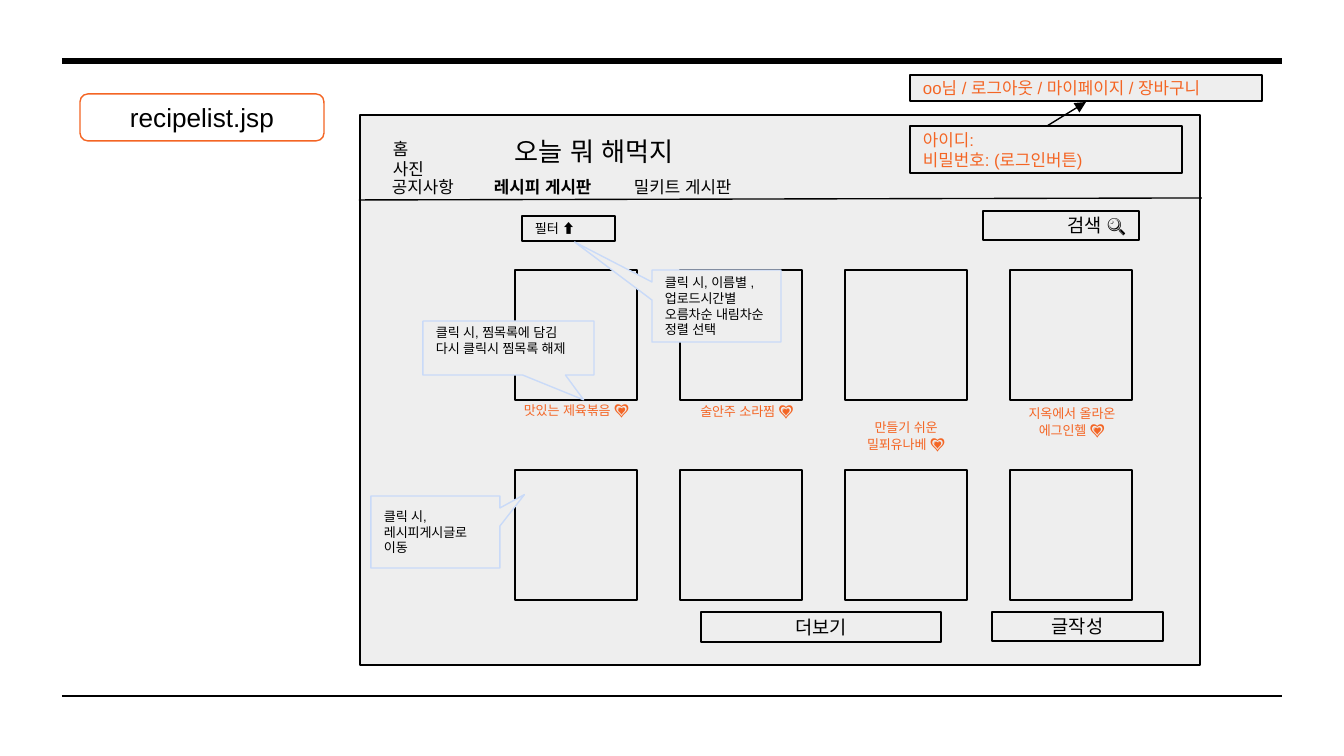
from dataclasses import dataclass
from itertools import product

from lxml import etree
from pptx import Presentation
from pptx.dml.color import RGBColor
from pptx.enum.shapes import MSO_CONNECTOR, MSO_SHAPE
from pptx.enum.text import MSO_ANCHOR, PP_ALIGN
from pptx.oxml.ns import qn
from pptx.util import Pt

EMU_PER_PIXEL = 914400 / 134.4
STRAIGHT = MSO_CONNECTOR.STRAIGHT
RECTANGLE = MSO_SHAPE.RECTANGLE
ROUNDED = MSO_SHAPE.ROUNDED_RECTANGLE
CALLOUT = MSO_SHAPE.RECTANGULAR_CALLOUT
TOP, MIDDLE = MSO_ANCHOR.TOP, MSO_ANCHOR.MIDDLE
LEFT, CENTER, RIGHT = PP_ALIGN.LEFT, PP_ALIGN.CENTER, PP_ALIGN.RIGHT
FONT = "Arial"
INSET = 13
COLORS = {"black": "000000", "orange": "F46524", "panel": "EEEEEE", "note": "C9DAF8"}


@dataclass
class Box:
    left: int
    top: int
    width: int
    height: int
    text: str = ""
    size: int = 9
    align: PP_ALIGN = LEFT
    color: str = "black"
    fill: str | None = "panel"
    line: str | None = "black"
    kind: MSO_SHAPE = RECTANGLE
    adjustments: tuple[float, ...] = ()
    anchor: MSO_ANCHOR = MIDDLE
    bold: bool = False
    heart: bool = False
    bottom_inset: int = INSET


@dataclass
class Rule:
    start: tuple[int, int]
    end: tuple[int, int]
    weight: float = 0.75
    arrow: bool = False


def px(value: float) -> int:
    return round(value * EMU_PER_PIXEL)


def rgb(name: str) -> RGBColor:
    return RGBColor.from_string(COLORS[name])


def label(left: int, top: int, width: int, height: int, text: str, **style) -> Box:
    return Box(left, top, width, height, text, fill=None, line=None, anchor=TOP, **style)


def caption(left: int, top: int, width: int, height: int, text: str) -> Box:
    return label(left, top, width, height, text, size=7, align=CENTER,
                 color="orange", heart=True)


def note(left: int, top: int, width: int, height: int, text: str,
         tip: tuple[float, float], bottom_inset: int = INSET) -> Box:
    return Box(left, top, width, height, text, size=7, line="note", kind=CALLOUT,
               adjustments=tip, bottom_inset=bottom_inset)


def write_text(frame, box: Box) -> None:
    frame.word_wrap = True
    frame.vertical_anchor = box.anchor
    frame.margin_left = frame.margin_right = frame.margin_top = px(INSET)
    frame.margin_bottom = px(box.bottom_inset)
    frame.text = box.text
    for para in frame.paragraphs:
        para.alignment = box.align
        font = para.font
        font.name, font.size, font.bold = FONT, Pt(box.size), box.bold
        font.color.rgb = rgb(box.color)
        latin = para._p.pPr.find(qn("a:defRPr")).find(qn("a:latin"))
        east_asian = etree.Element(qn("a:ea"), typeface=FONT)
        latin.addnext(east_asian)
    if box.heart:
        span = frame.paragraphs[-1].add_run()
        span.text = "💗"
        span.font.size = Pt(8)


def draw_box(page, box: Box) -> None:
    place = [px(value) for value in (box.left, box.top, box.width, box.height)]
    if box.fill is None and box.line is None:
        shape = page.shapes.add_textbox(*place)
    else:
        shape = page.shapes.add_shape(box.kind, *place)
        shape.shadow.inherit = False
        for index, value in enumerate(box.adjustments):
            shape.adjustments[index] = value
        if box.fill:
            shape.fill.solid()
            shape.fill.fore_color.rgb = rgb(box.fill)
        else:
            shape.fill.background()
        if box.line:
            shape.line.color.rgb = rgb(box.line)
            shape.line.width = Pt(0.75)
        else:
            shape.line.fill.background()
    if box.text:
        write_text(shape.text_frame, box)


def draw_rule(page, rule: Rule) -> None:
    points = [px(value) for value in (*rule.start, *rule.end)]
    connector = page.shapes.add_connector(STRAIGHT, *points)
    connector.line.color.rgb = rgb("black")
    connector.line.width = Pt(rule.weight)
    if rule.arrow:
        outline = connector.line._get_or_add_ln()
        etree.SubElement(outline, qn("a:tailEnd"), type="triangle")
    etree.SubElement(connector._element.spPr, qn("a:effectLst"))


CARDS = [Box(515 + 165 * column, 270 + 200 * row, 122, 130)
         for row, column in product(range(2), range(4))]

ITEMS = [
    Rule((62, 696), (1282, 696), 1.5),
    Rule((62, 61), (1282, 61), 3),
    Box(80, 94, 244, 47, "recipelist.jsp", 14, CENTER, fill=None, line="orange", kind=ROUNDED),
    Box(360, 115, 840, 550),
    label(403, 122, 383, 59, "오늘 뭐 해먹지", size=14, align=CENTER),
    *CARDS,
    Box(910, 75, 352, 26, "oo님 / 로그아웃 / 마이페이지 / 장바구니", color="orange"),
    Rule((359, 200), (1202, 198)),
    label(380, 126, 69, 67, "홈 사진"),
    Box(910, 126, 272, 47, "아이디:\v비밀번호: (로그인버튼)", color="orange"),
    label(379, 167, 129, 47, "공지사항"),
    label(481, 167, 136, 47, "레시피 게시판", bold=True),
    label(621, 167, 136, 47, "밀키트 게시판"),
    Rule((1047, 126), (1086, 102), arrow=True),
    Box(983, 211, 156, 29, "검색 🔍", 10, RIGHT),
    Box(701, 612, 240, 30, "더보기", 10, CENTER),
    caption(504, 392, 145, 60, "맛있는 제육볶음 "),
    caption(665, 393, 164, 46, "술안주 소라찜 "),
    caption(824, 406, 164, 60, "만들기 쉬운 밀푀유나베 "),
    caption(1004, 392, 136, 60, "지옥에서 올라온 에그인헬 "),
    Box(522, 216, 93, 25, "필터 ⬆", 7),
    note(371, 496, 129, 72, "클릭 시, 레시피게시글로 이동", (0.69, -0.52)),
    note(423, 321, 171, 54, "클릭 시, 찜목록에 담김\n다시 클릭시 찜목록 해제", (0.44, 0.96),
         bottom_inset=29),
    note(652, 270, 129, 72, "클릭 시, 이름별 , 업로드시간별 오름차순 내림차순 정렬 선택", (-1.1, -0.89)),
    Box(992, 612, 171, 29, "글작성", 10, CENTER),
]

deck = Presentation()
deck.slide_width, deck.slide_height = px(1344), px(756)
page = deck.slides.add_slide(deck.slide_layouts[6])
for item in ITEMS:
    if isinstance(item, Rule):
        draw_rule(page, item)
    else:
        draw_box(page, item)
deck.save("out.pptx")
